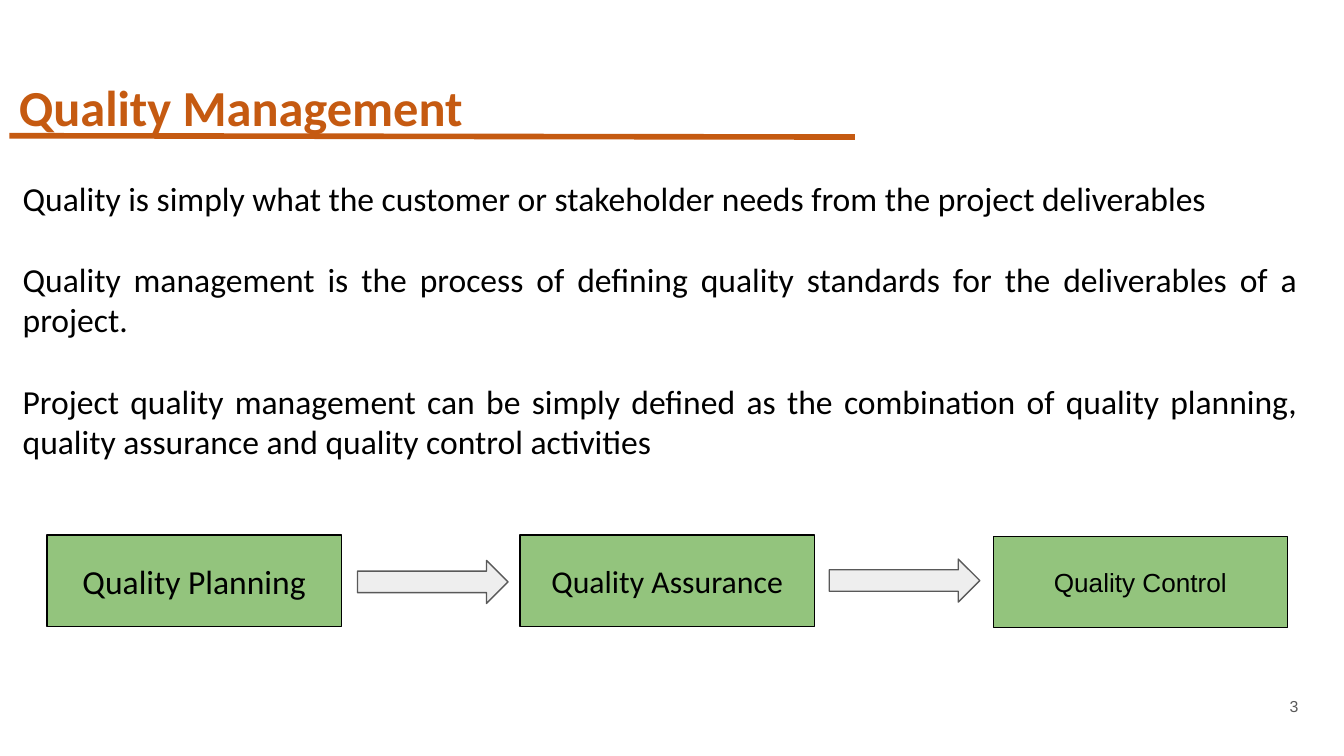
from lxml import etree
from pptx import Presentation
from pptx.dml.color import RGBColor
from pptx.enum.shapes import MSO_CONNECTOR, MSO_SHAPE
from pptx.enum.text import MSO_ANCHOR, PP_ALIGN
from pptx.oxml.ns import qn
from pptx.util import Inches, Pt

RECTANGLE, ARROW = MSO_SHAPE.RECTANGLE, MSO_SHAPE.RIGHT_ARROW
LEFT, CENTER, RIGHT, JUSTIFY = PP_ALIGN.LEFT, PP_ALIGN.CENTER, PP_ALIGN.RIGHT, PP_ALIGN.JUSTIFY
TOP, MIDDLE = MSO_ANCHOR.TOP, MSO_ANCHOR.MIDDLE
ORANGE, GREEN, BLACK, GRAY, PALE = "C55A11", "93C47D", "000000", "595959", "EEEEEE"


def write(box, *texts, size, font="Calibri", color=BLACK, bold=False, align=LEFT,
          anchor=TOP, margins=(0.1, 0.1), gap=0, spacing=1.0):
    """Fill a box with one paragraph per text; margins are horizontal, vertical."""
    frame = box.text_frame
    frame.word_wrap = True
    frame.vertical_anchor = anchor
    frame.margin_left = frame.margin_right = Inches(margins[0])
    frame.margin_top = frame.margin_bottom = Inches(margins[1])
    for index, text in enumerate(texts):
        para = frame.paragraphs[0] if index == 0 else frame.add_paragraph()
        para.alignment = align
        para.line_spacing = spacing
        para.space_before = Pt(gap if index else 0)
        span = para.add_run()
        span.text = text
        span.font.name, span.font.size, span.font.bold = font, Pt(size), bold
        span.font.color.rgb = RGBColor.from_string(color)


def add_block(kind, left, top, width, height, fill, line):
    block = page.shapes.add_shape(kind, Inches(left), Inches(top), Inches(width), Inches(height))
    block.shadow.inherit = False
    block.fill.solid()
    block.fill.fore_color.rgb = RGBColor.from_string(fill)
    block.line.color.rgb = RGBColor.from_string(line)
    block.line.width = Pt(0.75)
    return block


deck = Presentation()
deck.slide_width = Inches(10)
deck.slide_height = deck.slide_width * 9 // 16
page = deck.slides.add_slide(deck.slide_layouts[6])

# Title and its rule
title = page.shapes.add_textbox(Inches(0.07), Inches(0.53), Inches(6.26), Inches(0.37))
write(title, "Quality Management", size=27, color=ORANGE, bold=True, margins=(0.07, 0.04))
rule = page.shapes.add_connector(MSO_CONNECTOR.STRAIGHT, Inches(0.07), Inches(1.01),
                                 Inches(6.36), Inches(1.02))
rule.line.color.rgb = RGBColor.from_string(ORANGE)
rule.line.width = Pt(3)
etree.SubElement(rule._element.spPr, qn("a:effectLst"))

# Definitions, one line apart
body = page.shapes.add_textbox(Inches(0.07), Inches(1.22), Inches(9.69), Inches(2.32))
write(body,
      "Quality is simply what the customer or stakeholder needs from the project deliverables",
      "Quality management is the process of defining quality standards for the deliverables "
      "of a project.",
      "Project quality management can be simply defined as the combination of quality planning, "
      "quality assurance and quality control activities",
      size=18, align=JUSTIFY, gap=22)

# Process steps and the arrows between them
steps = [
    ("Quality Planning", 3.98, 18, "Calibri"),
    ("Quality Assurance", 3.98, 17, "Calibri"),
    ("Quality Control", 3.99, 14, "Arial"),
]
for index, (label, top, size, font) in enumerate(steps):
    step = add_block(RECTANGLE, 0.35 + 3.52 * index, top, 2.19, 0.68, GREEN, BLACK)
    write(step, label, size=size, font=font, align=CENTER, anchor=MIDDLE)
for left, top in [(2.66, 4.17), (6.17, 4.16)]:
    add_block(ARROW, left, top, 1.12, 0.32, PALE, GRAY)

number = page.shapes.add_textbox(Inches(9.31), Inches(5.11), Inches(0.45), Inches(0.32))
write(number, "3", size=8.5, font="Arial", color=GRAY, align=RIGHT, anchor=MIDDLE, spacing=0.8)

deck.save("out.pptx")
